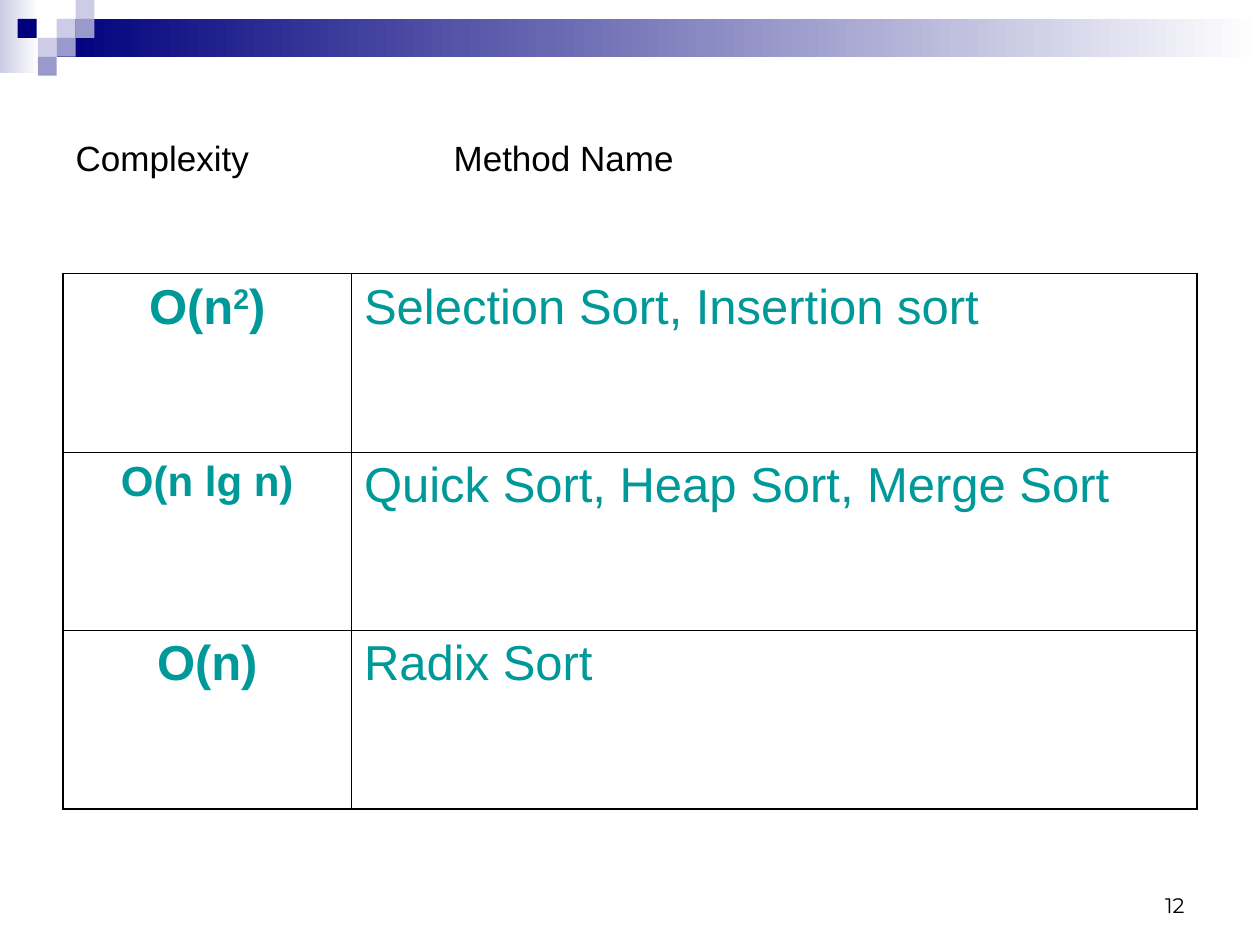
from lxml import etree
from pptx import Presentation
from pptx.dml.color import RGBColor
from pptx.enum import shapes, text
from pptx.oxml import ns
from pptx.util import Inches, Pt

COLORS = {
    "navy": "00007D",
    "periwinkle": "9999CC",
    "lavender": "CCCCE6",
    "white": "FFFFFF",
    "black": "000000",
    "teal": "009999",
}
SQUARE = 0.15
SQUARES = [
    (0.45, 0.15, "lavender"),
    (0.6, 0, "lavender"),
    (0.6, 0.15, "periwinkle"),
    (0.3, 0.3, "lavender"),
    (0.14, 0.15, "navy"),
    (0.45, 0.3, "periwinkle"),
    (0.3, 0.45, "periwinkle"),
]
METHODS = [
    ([("O(n", 0), ("2", 30), (")", 0)], 28, "Selection Sort, Insertion sort"),
    ([("O(n lg n)", 0)], 24, "Quick Sort, Heap Sort, Merge Sort"),
    ([("O(n)", 0)], 28, "Radix Sort"),
]
OUTER, INNER = 1.08, 0.45


def rgb(name):
    return RGBColor.from_string(COLORS[name])


def add_run(paragraph, words, size, color, font="Arial", bold=False, baseline=0):
    run = paragraph.add_run()
    run.text = words
    run.font.size = Pt(size)
    run.font.name = font
    run.font.bold = bold
    run.font.color.rgb = rgb(color)
    if baseline:
        run._r.get_or_add_rPr().set("baseline", str(baseline * 1000))


def add_block(slide, left, top, width, height, *colors):
    block = slide.shapes.add_shape(
        shapes.MSO_SHAPE.RECTANGLE,
        Inches(left), Inches(top), Inches(width), Inches(height))
    block.shadow.inherit = False
    block.line.fill.background()
    if len(colors) == 1:
        block.fill.solid()
        block.fill.fore_color.rgb = rgb(colors[0])
    else:
        block.fill.gradient()
        block.fill.gradient_angle = 0
        for stop, color in zip(block.fill.gradient_stops, colors):
            stop.color.rgb = rgb(color)


def add_banner(slide):
    add_block(slide, 0, 0, 0.31, 0.58, "lavender", "white")
    add_block(slide, 0.45, 0.15, 9.55, 0.3, "navy", "white")
    for left, top, color in SQUARES:
        add_block(slide, left, top, SQUARE, SQUARE, color)


def set_headings(slide):
    headings = slide.shapes.title
    headings.left, headings.top = Inches(0.5), Inches(0.5)
    headings.width, headings.height = Inches(9), Inches(1.5)
    headings.text_frame.vertical_anchor = text.MSO_ANCHOR.MIDDLE
    line = headings.text_frame.paragraphs[0]
    line.alignment = text.PP_ALIGN.LEFT
    add_run(line, "Complexity\t\tMethod Name", 20, "black")
    stops = etree.SubElement(line._p.get_or_add_pPr(), ns.qn("a:tabLst"))
    for inch in range(8):
        etree.SubElement(stops, ns.qn("a:tab"), pos=str(Inches(inch)), algn="l")


def set_borders(cell, widths):
    properties = cell._tc.get_or_add_tcPr()
    for place, (side, width) in enumerate(widths.items()):
        border = etree.Element(ns.qn(f"a:ln{side}"), w=str(Pt(width)))
        fill = etree.SubElement(border, ns.qn("a:solidFill"))
        etree.SubElement(fill, ns.qn("a:srgbClr"), val=COLORS["black"])
        properties.insert(place, border)


def format_cell(cell, alignment, space):
    cell.fill.background()
    cell.vertical_anchor = text.MSO_ANCHOR.TOP
    line = cell.text_frame.paragraphs[0]
    line.alignment = alignment
    line.space_before = Pt(space)
    return line


def add_methods(slide):
    methods = slide.shapes.add_table(
        len(METHODS), 2, Inches(0.5), Inches(2.17), Inches(9), Inches(4.25)).table
    methods.first_row = methods.horz_banding = False
    methods.columns[0].width = Inches(2.29)
    methods.columns[1].width = Inches(6.71)
    last = len(METHODS) - 1
    for row, (complexity, size, names) in enumerate(METHODS):
        order_cell, names_cell = methods.cell(row, 0), methods.cell(row, 1)
        order = format_cell(order_cell, text.PP_ALIGN.CENTER, size / 4)
        for words, baseline in complexity:
            add_run(order, words, size, "teal", bold=True, baseline=baseline)
        add_run(format_cell(names_cell, text.PP_ALIGN.LEFT, 7), names, 28, "teal")
        for column, cell in enumerate((order_cell, names_cell)):
            set_borders(cell, {
                "L": INNER if column else OUTER,
                "R": OUTER if column else INNER,
                "T": INNER if row else OUTER,
                "B": OUTER if row == last else INNER,
            })


def add_page_number(slide):
    page = slide.shapes.add_textbox(
        Inches(7.17), Inches(6.83), Inches(2.33), Inches(0.5)).text_frame
    page.word_wrap = True
    page.vertical_anchor = text.MSO_ANCHOR.BOTTOM
    page.paragraphs[0].alignment = text.PP_ALIGN.RIGHT
    add_run(page.paragraphs[0], "12", 12, "black", font="Montserrat")


def main():
    deck = Presentation()
    deck.slide_width, deck.slide_height = Inches(10), Inches(7.5)
    slide = deck.slides.add_slide(deck.slide_layouts[5])
    add_banner(slide)
    add_page_number(slide)
    set_headings(slide)
    add_methods(slide)
    deck.save("out.pptx")


if __name__ == "__main__":
    main()
